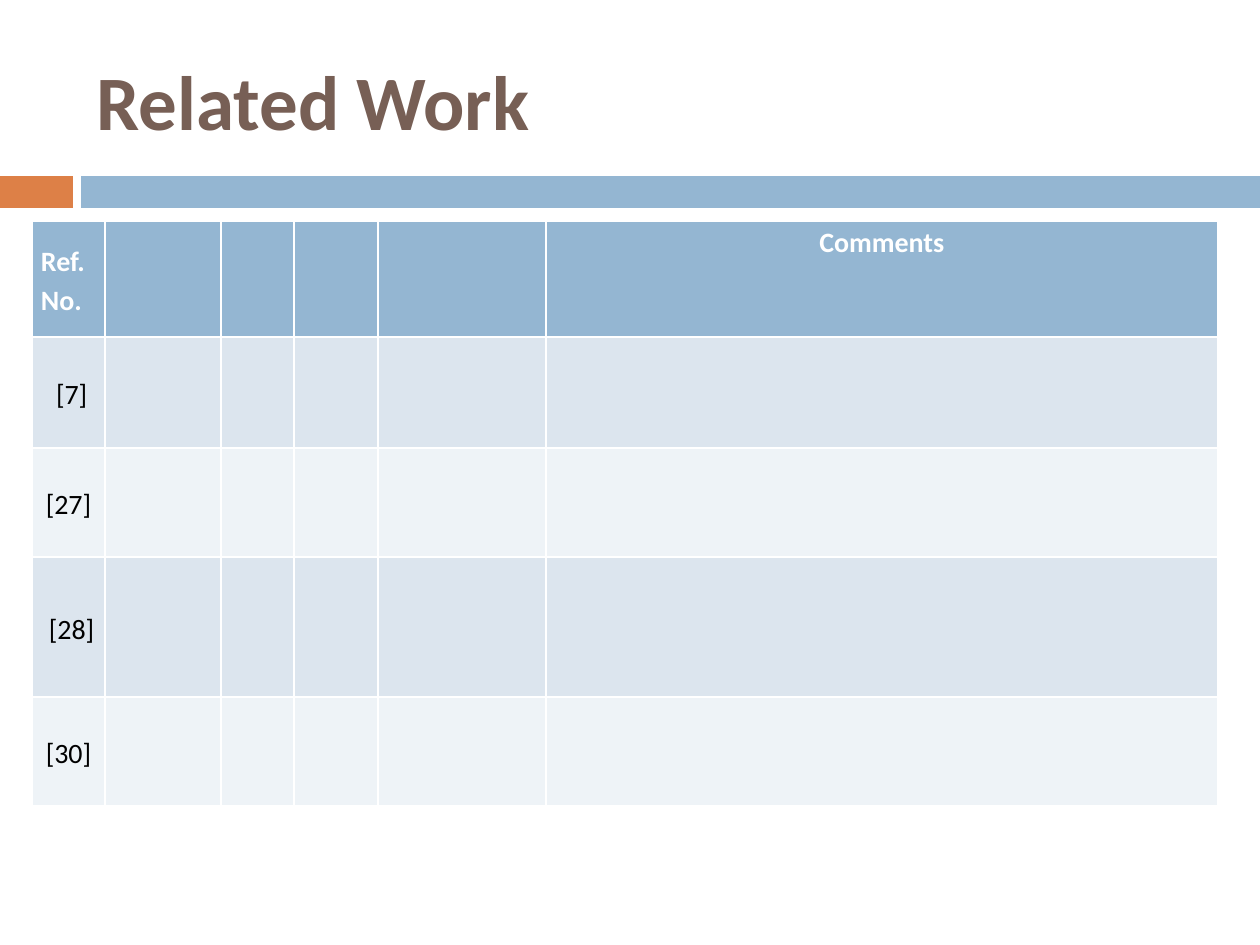
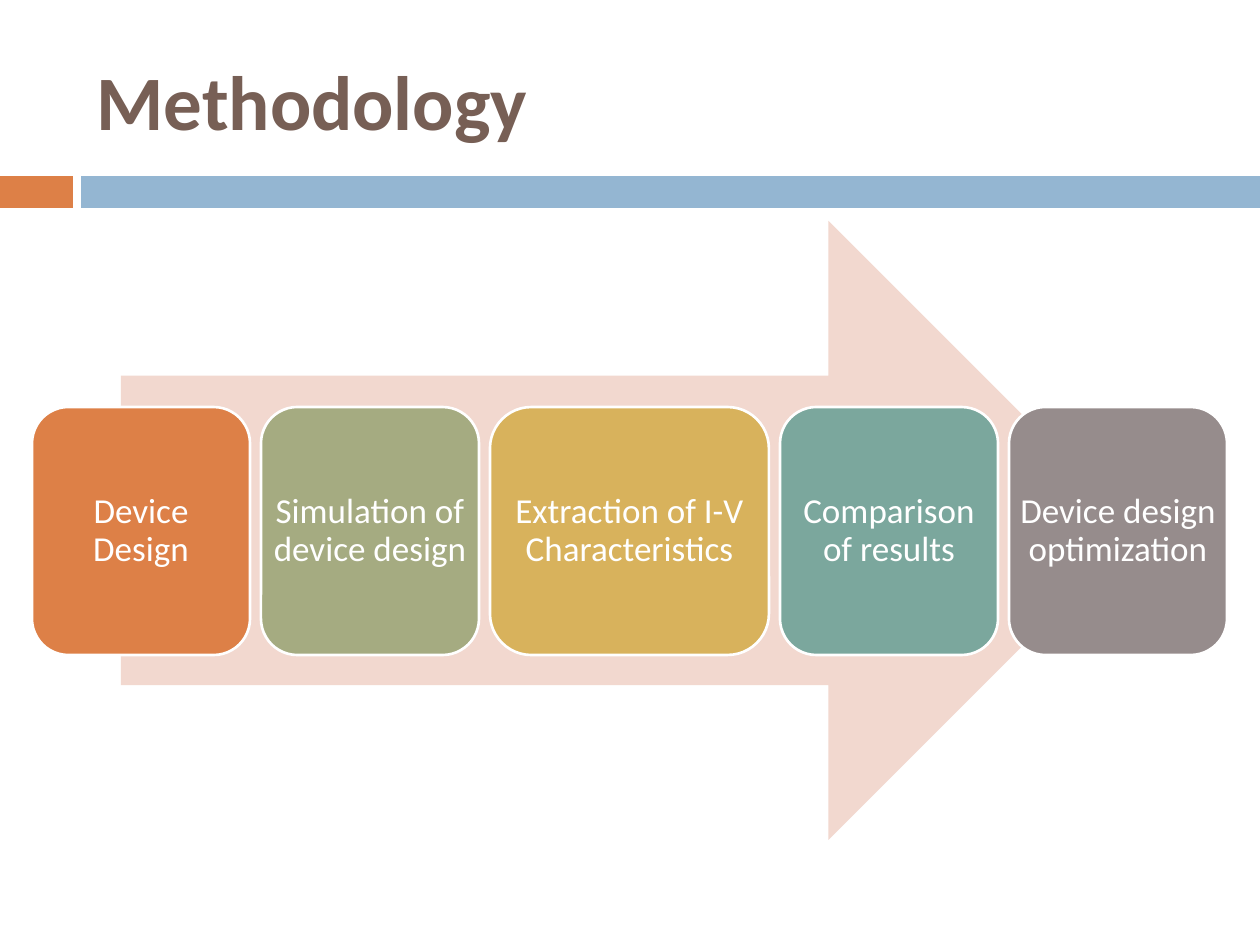
from dataclasses import dataclass

from pptx import Presentation
from pptx import util as u
from pptx.dml.color import RGBColor
from pptx.enum import shapes, text

PX = 914400 / 126  # EMU in one pixel


@dataclass(frozen=True)
class Theme:
    font: str = "Calibri"
    head: int = 44
    step: int = 20
    cell: int = 16
    brown: str = "775F55"
    white: str = "FFFFFF"
    black: str = "000000"
    orange: str = "DD8047"
    blue: str = "94B6D2"
    green: str = "A5AB81"
    gold: str = "D8B25C"
    teal: str = "7BA79D"
    gray: str = "968C8C"
    blush: str = "F2D8CF"
    stripes: tuple = ("DCE5EE", "EEF3F7")


def px(*vals):
    return [u.Emu(round(v * PX)) for v in vals]


def color(hexa):
    return RGBColor.from_string(hexa)


class Deck:
    """Holds the theme and the slide being built."""

    def __init__(self, theme):
        self.theme = theme
        self.prs = Presentation()
        self.prs.slide_width, self.prs.slide_height = px(1260, 945)
        self.slide = None

    def label(self, frame, words, size, hue, bold=False, **para):
        """Fill a text frame, one paragraph per line of words."""
        frame.text = words
        look = {"name": self.theme.font, "size": u.Pt(size), "bold": bold}
        for p in frame.paragraphs:
            for key, val in para.items():
                setattr(p, key, val)
            for key, val in look.items():
                setattr(p.font, key, val)
            p.font.color.rgb = color(hue)

    def page(self, title):
        """Start a slide with its title and the two bands."""
        t = self.theme
        self.slide = self.prs.slides.add_slide(self.prs.slide_layouts[5])
        self.shape("RECTANGLE", (0, 176, 73, 32), t.orange)
        self.shape("RECTANGLE", (81, 176, 1179, 32), t.blue)
        head = self.slide.shapes.title
        head.left, head.top, head.width, head.height = px(84, 32, 1124, 136)
        head.text_frame.vertical_anchor = text.MSO_ANCHOR.MIDDLE
        self.label(head.text_frame, title, t.head, t.brown, True,
                   alignment=text.PP_ALIGN.LEFT)

    def shape(self, kind, box, fill, line=None):
        item = self.slide.shapes.add_shape(
            getattr(shapes.MSO_SHAPE, kind), *px(*box))
        item.shadow.inherit = False
        item.fill.solid()
        item.fill.fore_color.rgb = color(fill)
        if line:
            item.line.color.rgb = color(line)
            item.line.width = u.Pt(1.5)
        else:
            item.line.fill.background()
        return item

    def step(self, words, box, fill):
        """Rounded box with a centred label."""
        t = self.theme
        frame = self.shape("ROUNDED_RECTANGLE", box, fill, t.white).text_frame
        form = {"word_wrap": True, "margin_left": 0, "margin_right": 0,
                "vertical_anchor": text.MSO_ANCHOR.MIDDLE}
        for key, val in form.items():
            setattr(frame, key, val)
        self.label(frame, words, t.step, t.white,
                   alignment=text.PP_ALIGN.CENTER, line_spacing=0.9)

    def table(self, left, top, cols, rows, words):
        """Striped table; words maps (row, column) to text."""
        t = self.theme
        grid = self.slide.shapes.add_table(
            len(rows), len(cols), *px(left, top, sum(cols), sum(rows))).table
        for col, wide in zip(grid.columns, px(*cols)):
            col.width = wide
        for r, (row, high) in enumerate(zip(grid.rows, px(*rows))):
            row.height = high
            for c, cell in enumerate(row.cells):
                cell.fill.solid()
                cell.fill.fore_color.rgb = color(
                    t.stripes[(r - 1) % 2] if r else t.blue)
                if (r, c) in words:
                    self.cell(cell, words[r, c], r == 0, c == 0)

    def cell(self, cell, words, head, first):
        t = self.theme
        side = px(9)[0]
        form = {"margin_left": side, "margin_right": side,
                "margin_top": 0, "margin_bottom": 0,
                "vertical_anchor": (text.MSO_ANCHOR.MIDDLE if first
                                    else text.MSO_ANCHOR.TOP)}
        for key, val in form.items():
            setattr(cell, key, val)
        align = "LEFT" if head and first else "CENTER"
        self.label(cell.text_frame, words, t.cell,
                   t.white if head else t.black, head,
                   alignment=getattr(text.PP_ALIGN, align), line_spacing=1.15)


theme = Theme()
deck = Deck(theme)

# Slide 1: table of references
deck.page("Related Work")
words = {(0, 0): "Ref.\nNo.", (0, 5): "Comments"}
for r, ref in enumerate((" [7]", "[27]", " [28]", "[30]"), 1):
    words[r, 0] = ref
deck.table(32, 221, (73, 116, 73, 84, 168, 672),
           (116, 111, 109, 140, 109), words)

# Slide 2: process steps over a wide arrow
deck.page("Methodology")
deck.shape("RIGHT_ARROW", (121, 221, 1017, 619), theme.blush)
steps = (
    ("Device Design", 218, theme.orange),
    ("Simulation of device design", 218, theme.green),
    ("Extraction of I-V Characteristics", 279, theme.gold),
    ("Comparison of results", 218, theme.teal),
    ("Device design optimization", 218, theme.gray),
)
left, gap = 32, 11
for name, wide, fill in steps:
    deck.step(name, (left, 407, wide, 248), fill)
    left += wide + gap

deck.prs.save("out.pptx")
